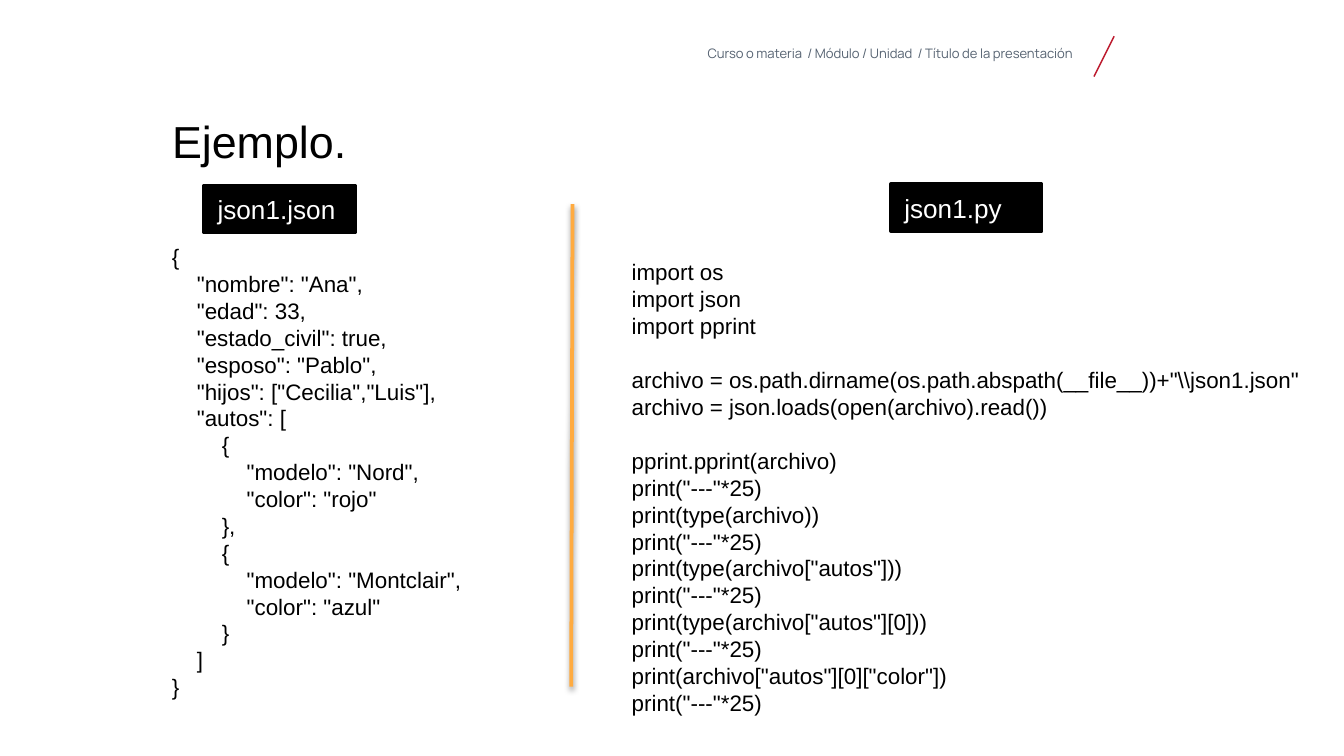
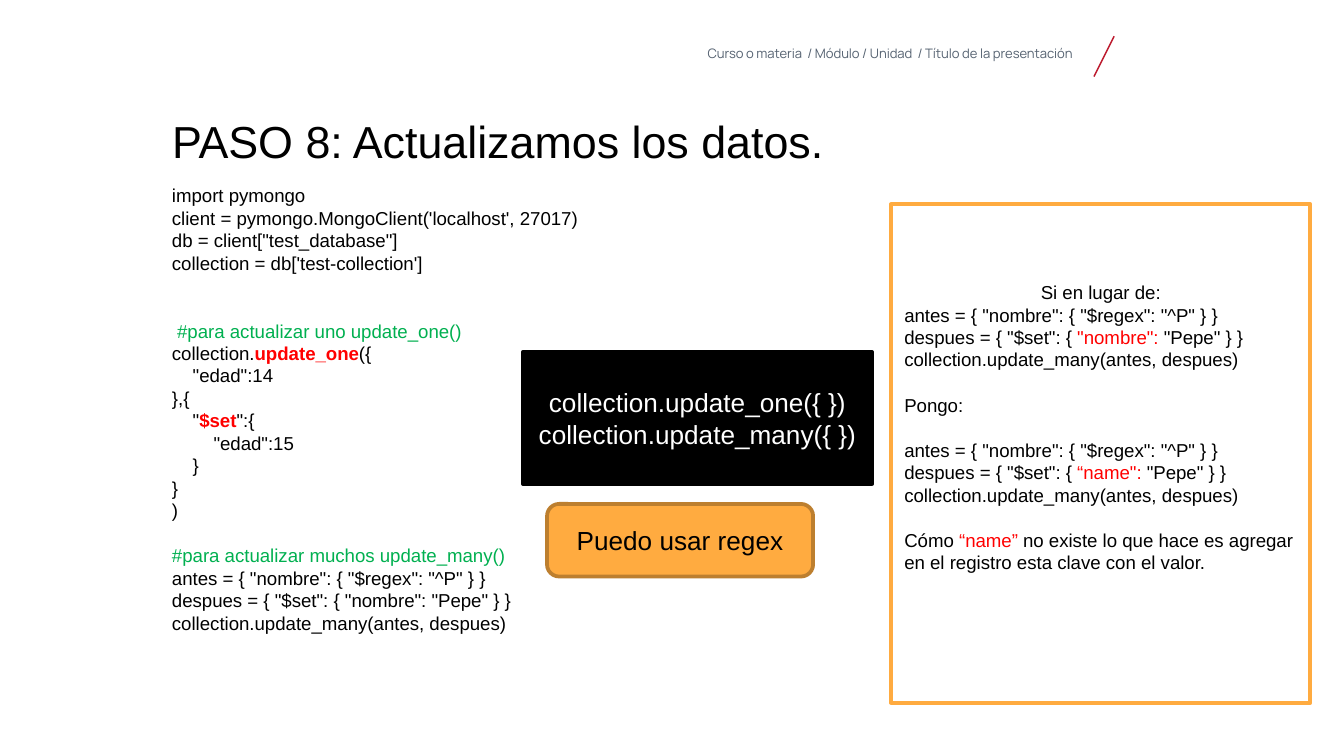
import pptx
import pptx.util
import pptx.dml.color
import pptx.enum.shapes
import pptx.enum.text
import lxml.etree
from pptx.util import Inches

COLORS = {
    "black": "000000", "white": "FFFFFF", "slate": "556271", "crimson": "BC182C",
    "orange": "FFAB40", "brown": "BD7F2F", "green": "00B050", "red": "FF0000",
}
DRAWING = "http://schemas.openxmlformats.org/drawingml/2006/main"
SPACE_WIDTH = 0.278   # Arial space, in ems
BLANK_LINE = 1.22     # gap that stands for a blank line, in ems
ALIGN = pptx.enum.text.PP_ALIGN
ANCHOR = pptx.enum.text.MSO_ANCHOR
SHAPE = pptx.enum.shapes.MSO_SHAPE

# A line is a string or a list of spans; a span is a string or (text, color, bold).
# Leading spaces become an indent, and an empty line becomes space before the next.
BREADCRUMB = "Curso o materia  / Módulo / Unidad  / Título de la presentación "
JSON_CODE = [
    '{',
    '    "nombre": "Ana",',
    '    "edad": 33,',
    '    "estado_civil": true,',
    '    "esposo": "Pablo",',
    '    "hijos": ["Cecilia","Luis"],',
    '    "autos": [',
    '        {',
    '            "modelo": "Nord",',
    '            "color": "rojo"',
    '        },',
    '        {',
    '            "modelo": "Montclair",',
    '            "color": "azul"',
    '        }',
    '    ]',
    '}',
]
RULE = 'print("---"*25)'
PYTHON_CODE = [
    'import os',
    'import json',
    'import pprint',
    '',
    'archivo = os.path.dirname(os.path.abspath(__file__))+"\\\\json1.json"',
    'archivo = json.loads(open(archivo).read())',
    '',
    'pprint.pprint(archivo)',
    RULE,
    'print(type(archivo))',
    RULE,
    'print(type(archivo["autos"]))',
    RULE,
    'print(type(archivo["autos"][0]))',
    RULE,
    'print(archivo["autos"][0]["color"])',
    RULE,
]
BEFORE = 'antes = { "nombre": { "$regex": "^P" } }'
UPDATE_MANY = 'collection.update_many(antes, despues)'
UPDATE_CODE = [
    'import pymongo',
    "client = pymongo.MongoClient('localhost', 27017)",
    'db = client["test_database"]',
    "collection = db['test-collection']",
    '',
    '',
    [(' #para actualizar uno update_one()', "green", False)],
    ['collection.', ('update_one', "red", True), '({'],
    '    "edad":14',
    '},{',
    ['    "', ('$set', "red", True), '":{'],
    '        "edad":15',
    '    }',
    '}',
    ')',
    '',
    [('#para actualizar muchos update_many()', "green", False)],
    BEFORE,
    'despues = { "$set": { "nombre": "Pepe" } }',
    UPDATE_MANY,
]


def rename_example(key):
    return [BEFORE,
            ['despues = { "$set": { ', (key + ': ', "red", False), '"Pepe" } }'],
            UPDATE_MANY]


NOTE = [
    'Si en lugar de:',
    *rename_example('"nombre"'),
    '',
    'Pongo:',
    '',
    *rename_example('“name"'),
    '',
    ['Cómo ', ('“name” ', "red", False),
     'no existe lo que hace es agregar en el registro esta clave con el valor.'],
]


def rgb(name):
    return pptx.dml.color.RGBColor.from_string(COLORS[name])


def write(frame, lines, size, color="black", font="Arial", align=ALIGN.LEFT, spacing=None):
    """Write lines into a text frame, one paragraph for each line with text."""
    frame.word_wrap = True
    gap, started = 0, False
    for line in lines:
        if not line:
            gap += 1
            continue
        para = frame.add_paragraph() if started else frame.paragraphs[0]
        started = True
        para.alignment = align
        if spacing:
            para.line_spacing = spacing
        if gap:
            para.space_before = pptx.util.Pt(gap * size * BLANK_LINE)
            gap = 0
        spans = [line] if isinstance(line, str) else line
        spans = [(span, color, False) if isinstance(span, str) else span for span in spans]
        first = spans[0][0]
        indent = len(first) - len(first.lstrip())
        if indent:
            margin = pptx.util.Pt(indent * SPACE_WIDTH * size)
            properties = para._p.get_or_add_pPr()
            properties.set("marL", str(int(margin)))
            properties.set("indent", "0")
            spans[0] = (first.lstrip(), *spans[0][1:])
        for text, span_color, bold in spans:
            span = para.add_run()
            span.text = text
            span.font.name = font
            span.font.size = pptx.util.Pt(size)
            span.font.bold = bold
            span.font.color.rgb = rgb(span_color)


def add_text(page, place, lines, size, **style):
    box = page.shapes.add_textbox(*map(Inches, place))
    frame = box.text_frame
    frame.margin_left = frame.margin_right = frame.margin_top = frame.margin_bottom = 0
    write(frame, lines, size, **style)


def add_panel(page, place, lines, size, fill="black", line="black",
              kind=SHAPE.RECTANGLE, **style):
    panel = page.shapes.add_shape(kind, *map(Inches, place))
    panel.shadow.inherit = False
    panel.fill.solid()
    panel.fill.fore_color.rgb = rgb(fill)
    panel.line.color.rgb = rgb(line)
    panel.line.width = pptx.util.Pt(2)
    panel.text_frame.vertical_anchor = ANCHOR.MIDDLE
    write(panel.text_frame, lines, size, **style)
    return panel


def add_line(page, start, end, color, width):
    """Draw a line and return its empty effect list."""
    line = page.shapes.add_connector(pptx.enum.shapes.MSO_CONNECTOR.STRAIGHT,
                                     *map(Inches, start + end))
    line.line.color.rgb = rgb(color)
    line.line.width = pptx.util.Pt(width)
    return lxml.etree.SubElement(line._element.spPr, f"{{{DRAWING}}}effectLst")


def add_soft_shadow(effects):
    shadow = lxml.etree.SubElement(
        effects, f"{{{DRAWING}}}outerShdw", blurRad=str(int(pptx.util.Pt(3.1))),
        dist=str(int(pptx.util.Pt(1.6))), dir="5400000", rotWithShape="0")
    tint = lxml.etree.SubElement(shadow, f"{{{DRAWING}}}srgbClr", val=COLORS["black"])
    lxml.etree.SubElement(tint, f"{{{DRAWING}}}alpha", val="38000")


def add_page(deck, title):
    """Add a blank page with the breadcrumb, the slash and a title."""
    page = deck.slides.add_slide(deck.slide_layouts[6])
    page.background.fill.solid()
    page.background.fill.fore_color.rgb = rgb("white")
    add_text(page, (4.95, 0.35, 3.05, 0.14), [BREADCRUMB], 7, color="slate",
             font="Manrope", align=ALIGN.RIGHT, spacing=0.9)
    add_line(page, (8.29, 0.27), (8.14, 0.57), "crimson", 0.75)
    add_text(page, (1.28, 0.89, 5.31, 0.83), [title], 24, spacing=0.9)
    return page


def build_example(deck):
    page = add_page(deck, "Ejemplo.")
    add_text(page, (1.28, 1.81, 3.1, 3.55), JSON_CODE, 12)
    for left, top, name in [(1.52, 1.38, "json1.json"), (6.63, 1.37, "json1.py")]:
        add_panel(page, (left, top, 1.12, 0.35), [name], 14, color="white")
    add_text(page, (4.7, 1.92, 5.09, 3.55), PYTHON_CODE, 12)
    add_soft_shadow(add_line(page, (4.26, 1.52), (4.25, 5.11), "orange", 2))


def build_update(deck):
    page = add_page(deck, "PASO 8: Actualizamos los datos.")
    add_text(page, (1.28, 1.37, 7.27, 3.99), UPDATE_CODE, 10)
    add_panel(page, (3.89, 2.62, 2.6, 0.98),
              ["collection.update_one({ })", "collection.update_many({ })"],
              14, color="white", align=ALIGN.CENTER)
    add_panel(page, (4.07, 3.75, 1.98, 0.54), ["Puedo usar regex"], 14, fill="orange",
              line="brown", kind=SHAPE.ROUNDED_RECTANGLE, align=ALIGN.CENTER)
    note = add_panel(page, (6.63, 1.52, 3.12, 3.71), NOTE, 10, fill="white", line="orange")
    note.text_frame.margin_bottom = Inches(0.44)
    note.text_frame.paragraphs[0].alignment = ALIGN.CENTER


def main():
    deck = pptx.Presentation()
    deck.slide_width = Inches(10)
    deck.slide_height = deck.slide_width * 9 // 16
    build_example(deck)
    build_update(deck)
    deck.save("out.pptx")


if __name__ == "__main__":
    main()
